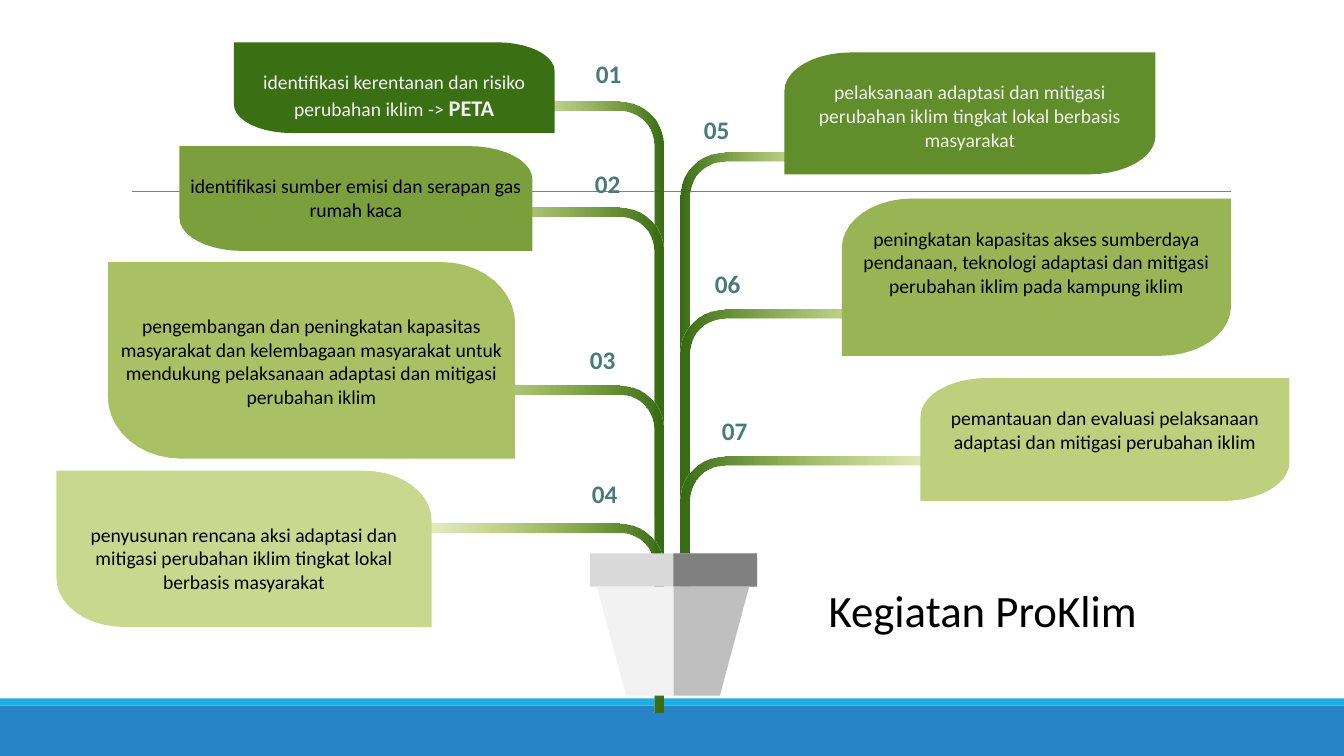
"""Build the Kegiatan ProKlim slide: a potted plant with seven labelled leaves."""
import math

from lxml import etree
from pptx import Presentation
from pptx.dml.color import RGBColor
from pptx.enum import shapes, text
from pptx.oxml.ns import qn
from pptx.util import Inches, Pt

FONT = "Calibri"
BLACK, PALE = "000000", "F2F2F2"
STEM_DARK, STEM_LIGHT = "396D15", "AECA00"
STEM_WIDTH, BEND_RADIUS = 0.095, 0.44
LEFT_STEM_EDGE, RIGHT_STEM_EDGE = 6.58, 6.75
LINE_HEIGHT = 0.237

STEMS = [
    (4.53, 1.01, 5.12), (3.51, 2.06, 5.59), (3.25, 3.83, 6.53), (3.51, 5.19, 7.07),
    (8.8, 1.51, 5.4), (9.82, 3.07, 6.14), (10.08, 4.53, 6.77),
]
NUMBERS = [
    ("01", 5.84, 0.54), ("02", 5.83, 1.63), ("03", 5.78, 3.38), ("04", 5.8, 4.7),
    ("05", 6.91, 1.09), ("06", 7.02, 2.62), ("07", 7.09, 4.08),
]
LEAVES = [
    ((2.32, 0.42, 3.18, 0.9), "3B6F14", PALE, 1,
     ["identifikasi kerentanan dan risiko perubahan iklim -> ", "PETA"]),
    ((1.78, 1.45, 3.5, 1.04), "7B9F3C", BLACK, 1,
     ["identifikasi sumber emisi dan serapan gas rumah kaca"]),
    ((1.07, 2.6, 4.04, 1.95), "AAC064", BLACK, 2,
     ["pengembangan dan peningkatan kapasitas masyarakat dan kelembagaan masyarakat "
      "untuk mendukung pelaksanaan adaptasi dan mitigasi perubahan iklim"]),
    ((0.56, 4.67, 3.72, 1.55), "CAD78E", BLACK, 2,
     ["penyusunan rencana aksi adaptasi dan mitigasi perubahan iklim tingkat lokal "
      "berbasis masyarakat"]),
    ((7.78, 0.52, 3.68, 1.21), "628D2B", PALE, 1,
     ["pelaksanaan adaptasi dan mitigasi perubahan iklim tingkat lokal berbasis masyarakat"]),
    ((8.35, 1.97, 3.86, 1.56), "99B454", BLACK, 1,
     ["peningkatan kapasitas akses sumberdaya pendanaan, teknologi adaptasi dan mitigasi "
      "perubahan iklim pada kampung iklim"]),
    ((9.13, 3.75, 3.66, 1.22), "BECF7D", BLACK, 1,
     ["pemantauan dan evaluasi pelaksanaan adaptasi dan mitigasi perubahan iklim"]),
]


def color(hex_value):
    """Return the colour for a hex string."""
    return RGBColor.from_string(hex_value)


def inches(*lengths):
    """Return the lengths converted from inches."""
    return [Inches(length) for length in lengths]


def quarter(center_x, center_y, radius_x, radius_y, start, turn=90):
    """Return points along an elliptic arc, with angles clockwise from the right."""
    angles = [math.radians(start + turn * step / 10) for step in range(11)]
    return [(center_x + radius_x * math.cos(angle), center_y + radius_y * math.sin(angle))
            for angle in angles]


def style_run(run, size, hex_value, bold=False):
    """Set the font of one run."""
    run.font.name, run.font.size, run.font.bold = FONT, Pt(size), bold
    run.font.color.rgb = color(hex_value)


def finish(shape, fill=None):
    """Remove outline and shadow and give the shape a solid fill."""
    shape.shadow.inherit = False
    shape.line.fill.background()
    if fill:
        shape.fill.solid()
        shape.fill.fore_color.rgb = color(fill)
    return shape


def add_rectangle(slide, box, fill):
    """Add a plain rectangle."""
    rectangle = slide.shapes.add_shape(shapes.MSO_SHAPE.RECTANGLE, *inches(*box))
    return finish(rectangle, fill)


def add_outline(slide, points, fill=None):
    """Add a closed polygon through the points."""
    vertices = [inches(*point) for point in points]
    builder = slide.shapes.build_freeform(*vertices[0])
    builder.add_line_segments(vertices[1:], close=True)
    return finish(builder.convert_to_shape(), fill)


def add_ground(slide, top):
    """Add the blue bands at the foot of the slide and the thin rule."""
    add_rectangle(slide, (0, top + 0.07, 13.33, 0.5), "2683C6")
    add_rectangle(slide, (0, top, 13.33, 0.07), "1CADE4")
    rule = slide.shapes.add_connector(
        shapes.MSO_CONNECTOR.STRAIGHT, *inches(1.31, 1.9, 12.21, 1.9))
    rule.line.color.rgb = color("808080")
    rule.line.width = Pt(0.5)
    etree.SubElement(rule.element.spPr, qn("a:effectLst"))


def add_stem(slide, tip, top, bottom):
    """Add a bent stem that fades from the trunk towards its tip."""
    on_left = tip < LEFT_STEM_EDGE
    edge = LEFT_STEM_EDGE if on_left else RIGHT_STEM_EDGE
    inward = -1 if on_left else 1
    center_x, center_y = edge + inward * BEND_RADIUS, top + BEND_RADIUS
    inner = BEND_RADIUS - STEM_WIDTH
    outer_bend = quarter(center_x, center_y, -inward * BEND_RADIUS, BEND_RADIUS, -90)
    inner_bend = quarter(center_x, center_y, -inward * inner, inner, 0, -90)
    stem = add_outline(slide, [
        (tip, top), *outer_bend, (edge, bottom), (edge + inward * STEM_WIDTH, bottom),
        *inner_bend, (tip, top + STEM_WIDTH)])
    stem.fill.gradient()
    stem.fill.gradient_angle = 0
    stops = stem.fill.gradient_stops
    light, dark = (0, 1) if on_left else (1, 0)
    stops[light].color.rgb = color(STEM_LIGHT)
    stops[dark].color.rgb = color(STEM_DARK)
    light_color = stem.element.spPr.findall(".//" + qn("a:srgbClr"))[light]
    etree.SubElement(light_color, qn("a:alpha")).set("val", "0")


def add_pot(slide, left, top, width):
    """Add the flower pot with its rim and shaded right half."""
    middle, right = left + width / 2, left + width
    rim_bottom, bottom = top + 0.33, top + 1.41
    add_rectangle(slide, (left, top, width, 0.33), "D9D9D9")
    add_outline(slide, [(left + 0.07, rim_bottom), (right - 0.08, rim_bottom),
                        (right - 0.37, bottom), (left + 0.36, bottom)], "F2F2F2")
    add_rectangle(slide, (middle, top, width / 2, 0.33), "808080")
    add_outline(slide, [(middle, rim_bottom), (right - 0.08, rim_bottom),
                        (right - 0.37, bottom), (middle, bottom)], "BFBFBF")


def set_margins(frame, top):
    """Set narrow margins with the given top one."""
    frame.margin_left = frame.margin_right = Inches(0.07)
    frame.margin_top, frame.margin_bottom = Inches(top), Inches(0.04)


def add_leaf(slide, box, fill, ink, lines_above, wording):
    """Add a leaf rounded at two opposite corners, with its activity text."""
    left, top, width, height = box
    right, bottom = left + width, top + height
    round_x, round_y = 0.18 * width, 0.315 * height
    if left < LEFT_STEM_EDGE:
        points = [(left, top),
                  *quarter(right - round_x, top + round_y, round_x, round_y, -90),
                  (right, bottom),
                  *quarter(left + round_x, bottom - round_y, round_x, round_y, 90)]
    else:
        points = [(right, top),
                  *quarter(right - round_x, bottom - round_y, round_x, round_y, 0),
                  (left, bottom),
                  *quarter(left + round_x, top + round_y, round_x, round_y, 180)]
    frame = add_outline(slide, points, fill).text_frame
    set_margins(frame, 0.04 + lines_above * LINE_HEIGHT)
    frame.word_wrap = True
    frame.vertical_anchor = text.MSO_ANCHOR.TOP
    paragraph = frame.paragraphs[0]
    paragraph.alignment = text.PP_ALIGN.CENTER
    for index, words in enumerate(wording):
        run = paragraph.add_run()
        run.text = words
        style_run(run, 16 if index else 14, ink, bold=index > 0)


def add_label(slide, box, words, size, hex_value, bold=False):
    """Add a text box holding one line and return its frame."""
    frame = slide.shapes.add_textbox(*inches(*box)).text_frame
    frame.text = words
    frame.auto_size = text.MSO_AUTO_SIZE.SHAPE_TO_FIT_TEXT
    style_run(frame.paragraphs[0].runs[0], size, hex_value, bold)
    return frame


def add_number(slide, number, left, top):
    """Add the number beside a stem."""
    frame = add_label(slide, (left, top, 0.45, 0.38), number, 18, "487B78", bold=True)
    frame.word_wrap = False
    set_margins(frame, 0.04)


def main():
    """Build and save the slide."""
    presentation = Presentation()
    presentation.slide_width, presentation.slide_height = inches(13.33, 7.5)
    slide = presentation.slides.add_slide(presentation.slide_layouts[6])
    add_ground(slide, 6.93)
    for number in NUMBERS:
        add_number(slide, *number)
    for stem in STEMS:
        add_stem(slide, *stem)
    add_pot(slide, 5.85, 5.49, 1.66)
    for leaf in LEAVES:
        add_leaf(slide, *leaf)
    title = add_label(slide, (8.12, 5.73, 4.45, 0.64), "Kegiatan ProKlim", 32, BLACK)
    title.word_wrap = True
    presentation.save("out.pptx")


if __name__ == "__main__":
    main()
